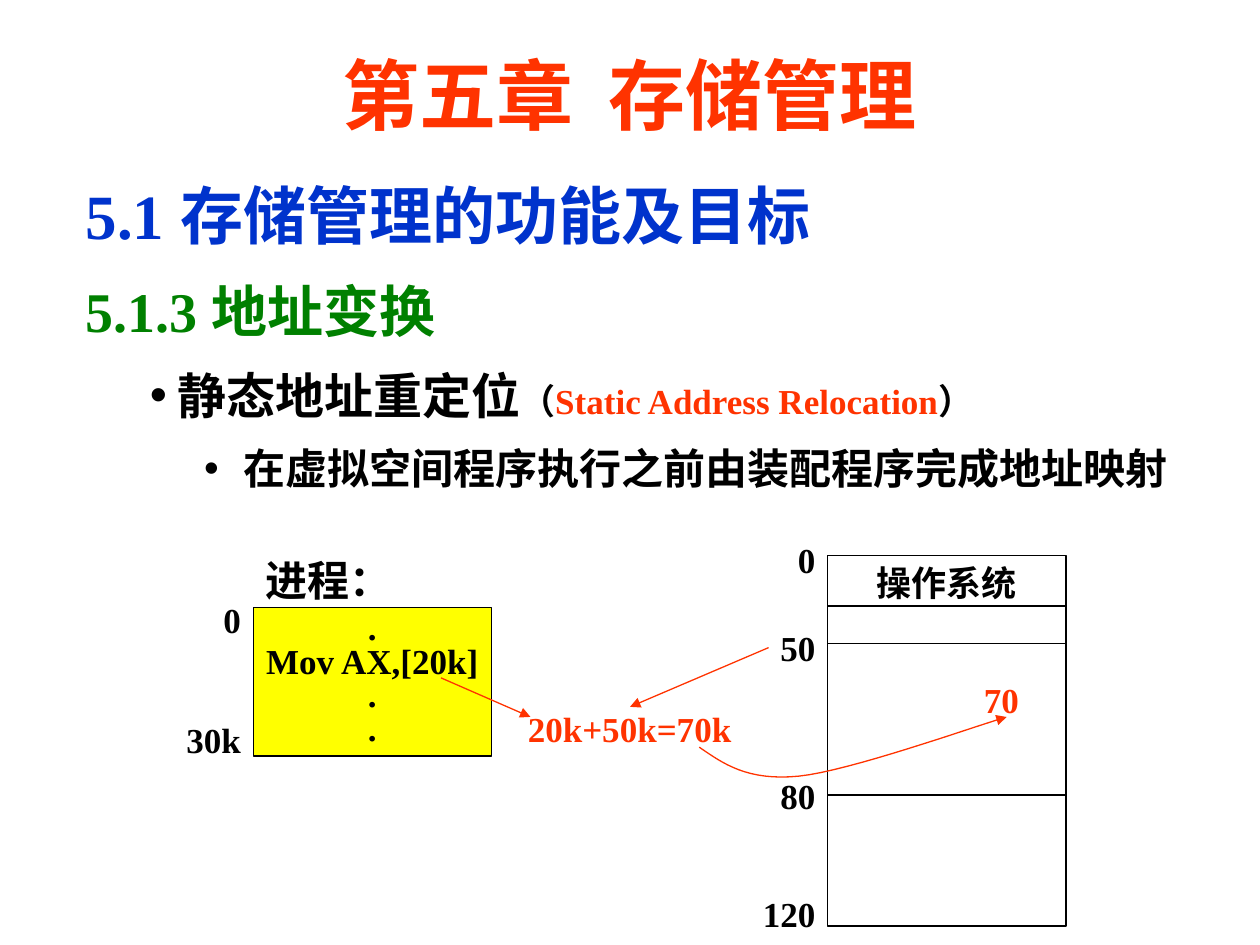
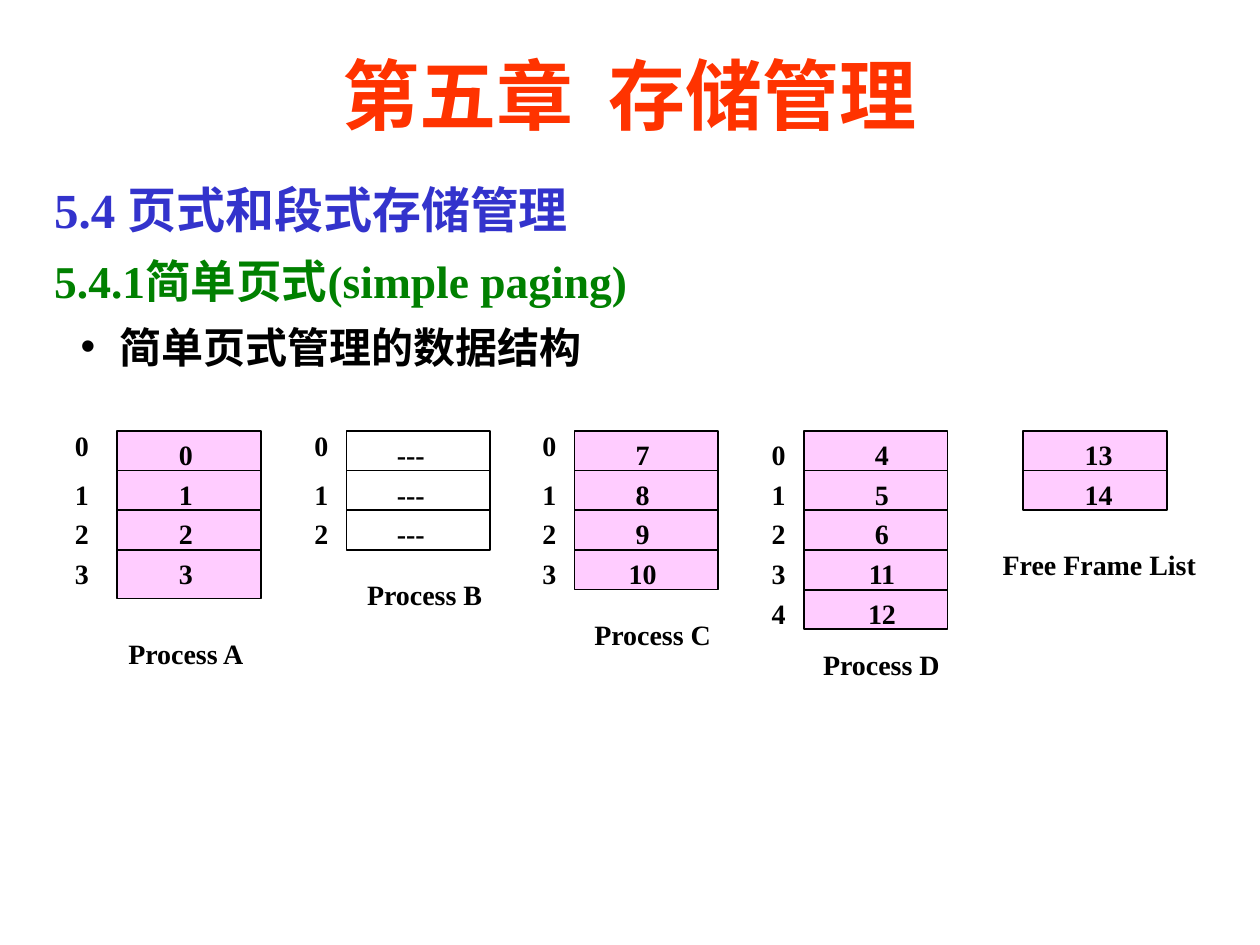
from dataclasses import dataclass

from pptx import Presentation
from pptx.dml.color import RGBColor as RGB
from pptx.enum.shapes import MSO_CONNECTOR as CONN, MSO_SHAPE as SHAPE
from pptx.enum.text import MSO_ANCHOR as ANCHOR, MSO_AUTO_SIZE as FIT, PP_ALIGN as ALIGN
from pptx.oxml.ns import qn
from pptx.util import Inches, Pt
from lxml.etree import SubElement

CELL = Inches(0.1)
COLS, ROWS = 100, 75
FONT = "Times New Roman"
BLACK = RGB(0x00, 0x00, 0x00)
RED = RGB(0xFF, 0x33, 0x00)
BLUE = RGB(0x00, 0x33, 0xCC)
INDIGO = RGB(0x33, 0x33, 0xCC)
GREEN = RGB(0x00, 0x80, 0x00)
YELLOW = RGB(0xFF, 0xFF, 0x00)
PINK = RGB(0xFF, 0xCC, 0xFF)

CHAPTER = "第五章  存储管理"
PAGE_TOP = 34.2
PAGE_ROW = 3.15
PAGE_WIDTH = 11.4


@dataclass
class PageTable:
    name: str
    left: float
    frames: list
    value_x: float
    name_x: float
    name_gap: float
    fill: RGB = PINK
    indexed: bool = True
    index_x: float = -2
    first_index: float = -0.7
    extra: float = 0


PAGE_TABLES = [
    PageTable("Process A", 9.3, ["0", "1", "2", "3"], 5.45, 5.45, 3, index_x=-2.8, extra=0.7),
    PageTable("Process B", 27.5, ["---"] * 3, 5.1, 6.2, 2.2, fill=None),
    PageTable("Process C", 45.6, ["7", "8", "9", "10"], 5.4, 6.2, 2.2),
    PageTable("Process D", 63.8, ["4", "5", "6", "11", "12"], 6.2, 6.15, 1.4, first_index=0),
    PageTable("Free Frame List", 81.2, ["13", "14"], 6, 6.05, 2.9, indexed=False),
]


def grid(*cells):
    return [round(CELL * c) for c in cells]


def apply(obj, **values):
    for name, value in values.items():
        setattr(obj, name, value)


def add_run(p, text, size, color=BLACK):
    r = p.add_run()
    r.text = text
    apply(r.font, name=FONT, size=Pt(size), bold=True)
    r.font.color.rgb = color


def style_line(sp, color, width, arrow=False):
    sp.line.color.rgb = color
    sp.line.width = Pt(width)
    if arrow:
        SubElement(sp.line._get_or_add_ln(), qn("a:tailEnd"), type="triangle")


def add_line(slide, start, end, color=BLACK, width=0.75, arrow=False):
    line = slide.shapes.add_connector(CONN.STRAIGHT, *grid(*start, *end))
    style_line(line, color, width, arrow)
    SubElement(line._element.spPr, qn("a:effectLst"))
    return line


def add_rect(slide, left, top, width, height, fill=None, line_width=0.75):
    sp = slide.shapes.add_shape(SHAPE.RECTANGLE, *grid(left, top, width, height))
    sp.shadow.inherit = False
    if fill is None:
        sp.fill.background()
    else:
        sp.fill.solid()
        sp.fill.fore_color.rgb = fill
    style_line(sp, BLACK, line_width)
    return sp


def fill_rect(sp, lines, spacing=1.0):
    tf = sp.text_frame
    apply(tf, vertical_anchor=ANCHOR.TOP, word_wrap=True)
    for i, text in enumerate(lines):
        p = tf.add_paragraph() if i else tf.paragraphs[0]
        apply(p, alignment=ALIGN.CENTER, line_spacing=spacing)
        add_run(p, text, 20)


def add_label(slide, text, left, mid, width, size=20, color=BLACK, align=ALIGN.LEFT, inset=1):
    height = 4
    tb = slide.shapes.add_textbox(*grid(left, mid - height / 2, width, height))
    tf = tb.text_frame
    side = round(CELL * inset)
    apply(tf, word_wrap=False, vertical_anchor=ANCHOR.MIDDLE, margin_left=side, margin_right=side)
    p = tf.paragraphs[0]
    p.alignment = align
    add_run(p, text, size, color)


def add_centred(slide, text, x, mid):
    width = 16
    add_label(slide, text, x - width / 2, mid, width, 16, align=ALIGN.CENTER, inset=0)


def set_bullet(p, level, left, hang, bullet):
    p.level = level
    pPr = p._p.get_or_add_pPr()
    pPr.set("marL", str(Inches(left)))
    pPr.set("indent", str(-Inches(hang)))
    if bullet:
        SubElement(pPr, qn("a:buChar"), char="•")
    else:
        SubElement(pPr, qn("a:buNone"))


def add_slide(prs, body_box, spacing, items):
    slide = prs.slides.add_slide(prs.slide_layouts[1])
    title, body = slide.placeholders
    apply(title, **dict(zip(("left", "top", "width", "height"), grid(7.5, 2.8, COLS - 15, 9.2))))
    title.text_frame.auto_size = FIT.NONE
    add_run(title.text_frame.paragraphs[0], CHAPTER, 44, RED)
    apply(body, **dict(zip(("left", "top", "width", "height"), grid(*body_box))))
    tf = body.text_frame
    tf.auto_size = FIT.NONE
    for i, (level, left, hang, runs) in enumerate(items):
        p = tf.add_paragraph() if i else tf.paragraphs[0]
        set_bullet(p, level, left, hang, level > 0)
        space = Pt(runs[0][1] * 0.2) if i else Pt(0)
        apply(p, line_spacing=spacing, space_before=space)
        for run in runs:
            add_run(p, *run)
    return slide


def bezier(p0, p1, p2, p3, steps=16):
    for i in range(1, steps + 1):
        t = i / steps
        weights = ((1 - t) ** 3, 3 * t * (1 - t) ** 2, 3 * t * t * (1 - t), t ** 3)
        yield tuple(sum(w * p[axis] for w, p in zip(weights, (p0, p1, p2, p3))) for axis in (0, 1))


def add_curve(slide, start, *segments):
    points, last = [], start
    for segment in segments:
        points += bezier(last, *segment)
        last = segment[-1]
    builder = slide.shapes.build_freeform(*grid(*start))
    builder.add_line_segments([tuple(grid(*pt)) for pt in points], close=False)
    sp = builder.convert_to_shape()
    sp.shadow.inherit = False
    sp.fill.background()
    style_line(sp, RED, 0.75, arrow=True)


def add_page_table(slide, table):
    count = len(table.frames)
    height = count * PAGE_ROW + table.extra
    right = table.left + PAGE_WIDTH
    rect = add_rect(slide, table.left, PAGE_TOP, PAGE_WIDTH, height, table.fill, 1)
    for i in range(1, count):
        y = PAGE_TOP + i * PAGE_ROW
        line = add_line(slide, (table.left, y), (right, y), width=1)
        if 2 * i == count and not table.extra:
            line.begin_connect(rect, 1)
            line.end_connect(rect, 3)
    for i, frame in enumerate(table.frames):
        mid = PAGE_TOP + i * PAGE_ROW + 1.85
        add_centred(slide, frame, table.left + table.value_x, mid)
        if table.indexed:
            shift = 0 if i else table.first_index
            add_centred(slide, str(i), table.left + table.index_x, mid + shift)
    add_centred(slide, table.name, table.left + table.name_x,
                PAGE_TOP + height + table.name_gap + 1.35)


def add_process(slide):
    left, top, width, height = 20.1, 48.2, 18.9, 11.8
    add_label(slide, "进程：", left, 46, 12.6, 24)
    process = add_rect(slide, left, top, width, height, YELLOW)
    fill_rect(process, [".", "Mov AX,[20k]", ".", "."], 0.8)
    for text, mid in (("0", 49.2), ("30k", 58.7)):
        add_label(slide, text, left - 7.9, mid, 7.9, align=ALIGN.RIGHT)


def add_memory(slide):
    left, top, width, height = 65.7, 44.1, 18.9, 29.4
    fill_rect(add_rect(slide, left, top, width, height), ["操作系统"])
    for y in (48.1, 51.1, 63.1):
        add_line(slide, (left, y), (left + width, y))
    for text, mid in (("0", 44.4), ("50", 51.4), ("80", 63.1), ("120", 72.5)):
        add_label(slide, text, left - 6.3, mid, 6.3, align=ALIGN.RIGHT)


def add_relocation(slide):
    add_label(slide, "20k+50k=70k", 40.9, 57.8, 18.9, color=RED)
    add_label(slide, "70", 77.1, 55.5, 5.5, color=RED)
    for start, end in (((35, 53.8), (42.1, 56.9)), ((61, 51.4), (50, 56.1))):
        add_line(slide, start, end, RED, arrow=True)
    add_curve(slide, (55.5, 59.3),
              ((57.4, 60.6), (59.3, 62), (63.4, 61.6)),
              ((67.4, 61.2), (77.2, 57.7), (79.9, 56.9)))


def main():
    prs = Presentation()
    prs.slide_width, prs.slide_height = grid(COLS, ROWS)

    slide = add_slide(prs, (5.8, 12.3, 88.3, 28.9), 1.2, [
        (0, 0.31, 0.31, [("5.1 存储管理的功能及目标", 36, BLUE)]),
        (0, 0.31, 0.31, [("5.1.3 地址变换", 32, GREEN)]),
        (1, 0.73, 0.22, [("静态地址重定位", 28), ("（", 20),
                         ("Static Address Relocation", 20, RED), ("）", 20)]),
        (2, 1.25, 0.31, [("在虚拟空间程序执行之前由装配程序完成地址映射", 24)]),
    ])
    add_process(slide)
    add_memory(slide)
    add_relocation(slide)

    slide = add_slide(prs, (3.3, 13.3, 90, 15.8), 1.1, [
        (0, 0, 0, [("5.4 页式和段式存储管理", 28, INDIGO)]),
        (0, 0, 0, [("5.4.1简单页式(simple paging)", 26, GREEN)]),
        (1, 0.52, 0.31, [("简单页式管理的数据结构", 24)]),
    ])
    for table in PAGE_TABLES:
        add_page_table(slide, table)

    prs.save("out.pptx")


if __name__ == "__main__":
    main()
